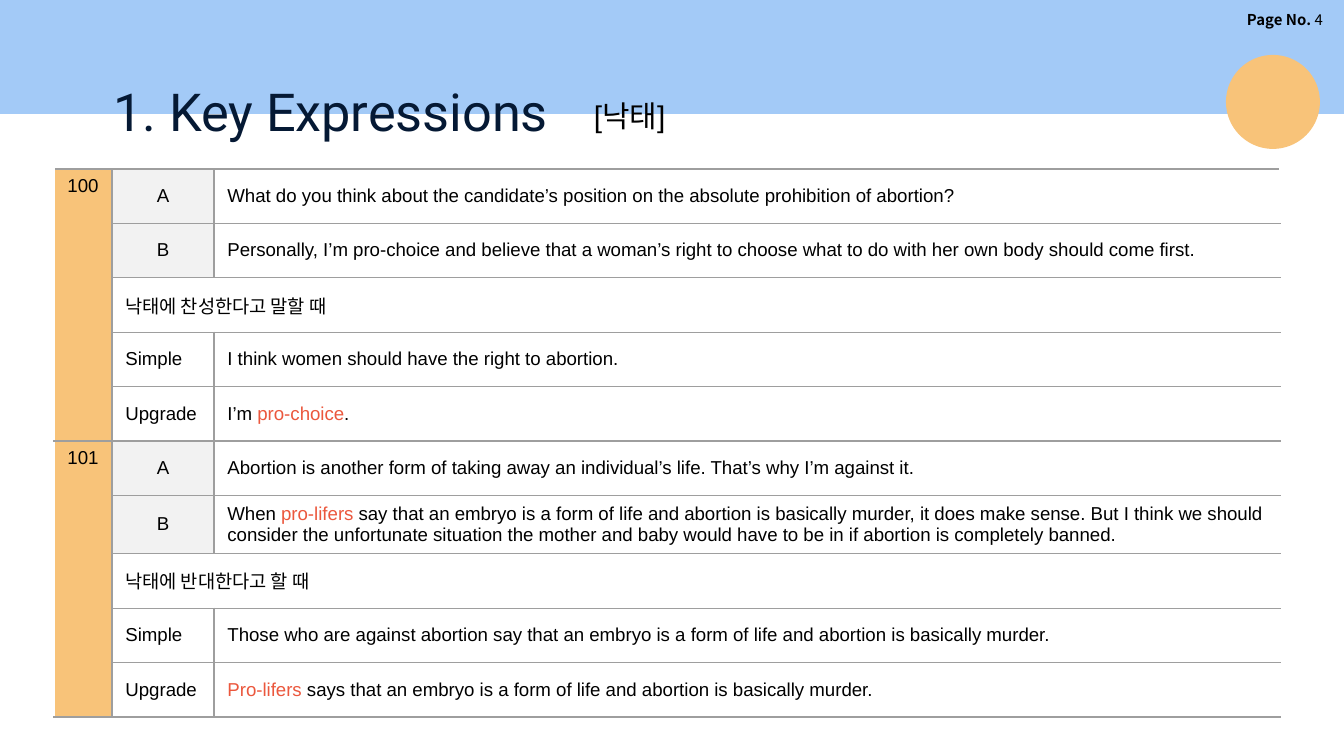
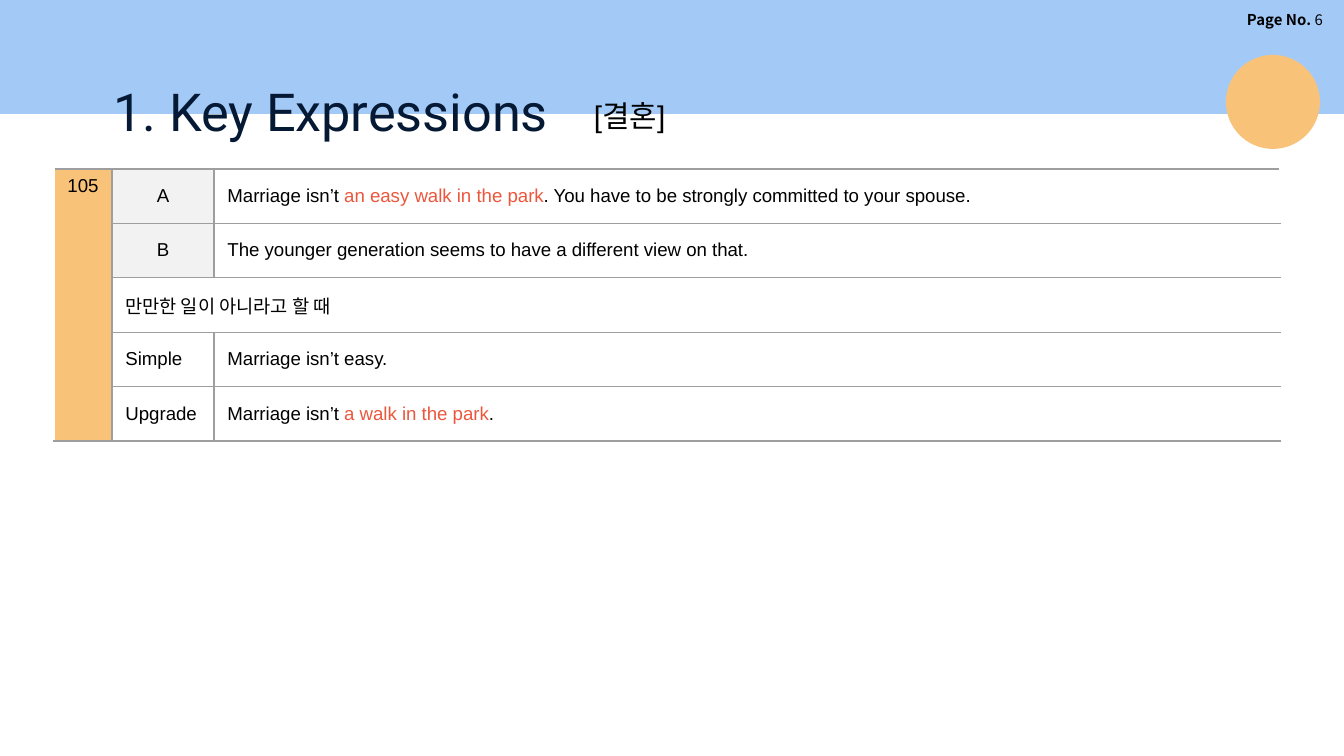
from lxml.etree import SubElement
from pptx import Presentation
from pptx.dml.color import RGBColor
from pptx.enum.shapes import MSO_SHAPE as Shape
from pptx.enum.text import MSO_ANCHOR as Anchor, PP_ALIGN as Align
from pptx.oxml.ns import qn
from pptx.util import Emu, Pt

COLORS = {
    "band": "A3CAF7",
    "accent": "F8C379",
    "title": "051934",
    "text": "000000",
    "highlight": "EB573D",
    "speaker": "F2F2F2",
    "rule": "9E9E9E",
    "white": "FFFFFF",
}
TITLE = "1. Key Expressions"

# Each entry: number, line A, line B, situation, simple, upgrade.
# Words between asterisks are highlighted.
PAGES = [
    ("4", "[낙태]", [
        ("100",
         "What do you think about the candidate’s position on the absolute prohibition of abortion?",
         "Personally, I’m pro-choice and believe that a woman’s right to choose what to do "
         "with her own body should come first.",
         "낙태에 찬성한다고 말할 때",
         "I think women should have the right to abortion.",
         "I’m *pro-choice*."),
        ("101",
         "Abortion is another form of taking away an individual’s life. That’s why I’m against it.",
         "When *pro-lifers* say that an embryo is a form of life and abortion is basically murder, "
         "it does make sense. But I think we should consider the unfortunate situation the mother "
         "and baby would have to be in if abortion is completely banned.",
         "낙태에 반대한다고 할 때",
         "Those who are against abortion say that an embryo is a form of life and abortion "
         "is basically murder.",
         "*Pro-lifers* says that an embryo is a form of life and abortion is basically murder."),
    ]),
    ("6", "[결혼]", [
        ("105",
         "Marriage isn’t *an easy walk in the park*. You have to be strongly committed to your spouse.",
         "The younger generation seems to have a different view on that.",
         "만만한 일이 아니라고 할 때",
         "Marriage isn’t easy.",
         "Marriage isn’t *a walk in the park*."),
    ]),
]

WIDTH, HEIGHT = 1344, 756
TABLE_LEFT, TABLE_TOP = 54, 169
COLUMNS = (58, 102, 1066)
ENTRY_ROWS, ENTRY_HEIGHT = 5, 272


def px(n):
    return Emu(round(n * 914400 / 134.4))


def color(name):
    return RGBColor.from_string(COLORS[name])


def style(p, size, font="Arial", ink="text", align=Align.LEFT):
    p.alignment = align
    p.font.size, p.font.name = Pt(size), font
    p.font.color.rgb = color(ink)


def add_shape(s, kind, fill, *box):
    sp = s.shapes.add_shape(kind, *map(px, box))
    sp.shadow.inherit = False
    sp.fill.solid()
    sp.fill.fore_color.rgb = color(fill)
    sp.line.fill.background()


def add_label(s, box, margins, runs, *look):
    """Add a one-paragraph text box; runs are (text, bold) pairs."""
    tf = s.shapes.add_textbox(*map(px, box)).text_frame
    tf.word_wrap = True
    tf.margin_left = tf.margin_right = px(margins[0])
    tf.margin_top = tf.margin_bottom = px(margins[1])
    p = tf.paragraphs[0]
    style(p, *look)
    for text, bold in runs:
        r = p.add_run()
        r.text, r.font.bold = text, bold


def set_borders(cell, left="rule", right="rule"):
    tc_pr = cell._tc.get_or_add_tcPr()
    for side, name in zip("LRTB", (left, right, "rule", "rule")):
        width = Pt(0.75) if name == "rule" else Pt(1)
        ln = SubElement(tc_pr, qn(f"a:ln{side}"), w=str(width))
        fill = SubElement(ln, qn("a:solidFill"))
        SubElement(fill, qn("a:srgbClr"), val=COLORS[name])


def fill_cell(cell, text, fill=None, align=Align.LEFT, anchor=Anchor.MIDDLE):
    cell.vertical_anchor = anchor
    if fill:
        cell.fill.solid()
        cell.fill.fore_color.rgb = color(fill)
    p = cell.text_frame.paragraphs[0]
    style(p, 10, align=align)
    for i, part in enumerate(text.split("*")):
        if part:
            r = p.add_run()
            r.text = part
            if i % 2:
                r.font.color.rgb = color("highlight")


def add_expressions(s, entries):
    rows = ENTRY_ROWS * len(entries)
    frame = s.shapes.add_table(rows, len(COLUMNS), px(TABLE_LEFT), px(TABLE_TOP),
                               px(sum(COLUMNS)), px(ENTRY_HEIGHT * len(entries)))
    table = frame.table
    table.first_row = table.horz_banding = False
    for col, width in zip(table.columns, COLUMNS):
        col.width = px(width)
    for i, row in enumerate(table.rows):
        row.height = px(ENTRY_HEIGHT / ENTRY_ROWS)
        number, label, line = row.cells
        set_borders(number, left="white")
        set_borders(label, right="white" if i % ENTRY_ROWS == 2 else "rule")
        set_borders(line, right="white")
        for cell in row.cells:
            cell.fill.background()

    for i, (number, a, b, situation, simple, upgrade) in enumerate(entries):
        top = i * ENTRY_ROWS
        head = table.cell(top, 0)
        head.merge(table.cell(top + ENTRY_ROWS - 1, 0))
        head.margin_right = px(8)
        fill_cell(head, number, "accent", anchor=Anchor.TOP)
        for j, (label, line) in enumerate((("A", a), ("B", b))):
            fill_cell(table.cell(top + j, 1), label, "speaker", Align.CENTER)
            fill_cell(table.cell(top + j, 2), line)
        wide = table.cell(top + 2, 1)
        wide.merge(table.cell(top + 2, 2))
        fill_cell(wide, situation)
        for j, (label, line) in enumerate((("Simple", simple), ("Upgrade", upgrade)), 3):
            fill_cell(table.cell(top + j, 1), label)
            fill_cell(table.cell(top + j, 2), line)


def add_page(prs, number, topic, entries):
    s = prs.slides.add_slide(prs.slide_layouts[6])
    add_shape(s, Shape.RECTANGLE, "band", 0, 0, WIDTH, 114)
    add_label(s, (1140, 5, 195, 31), (12, 6), [("Page No. ", True), (number, False)],
              8, "Noto Sans CJK KR", "text", Align.RIGHT)
    add_label(s, (100, 66, 480, 85), (13, 13), [(TITLE, None)], 28, "Roboto", "title")
    add_expressions(s, entries)
    add_label(s, (581, 91, 300, 50), (13, 7), [(topic, None)], 16)
    add_shape(s, Shape.OVAL, "accent", 1226, 55, 94, 94)


def main():
    prs = Presentation()
    prs.slide_width, prs.slide_height = px(WIDTH), px(HEIGHT)
    for page in PAGES:
        add_page(prs, *page)
    prs.save("out.pptx")


if __name__ == "__main__":
    main()
